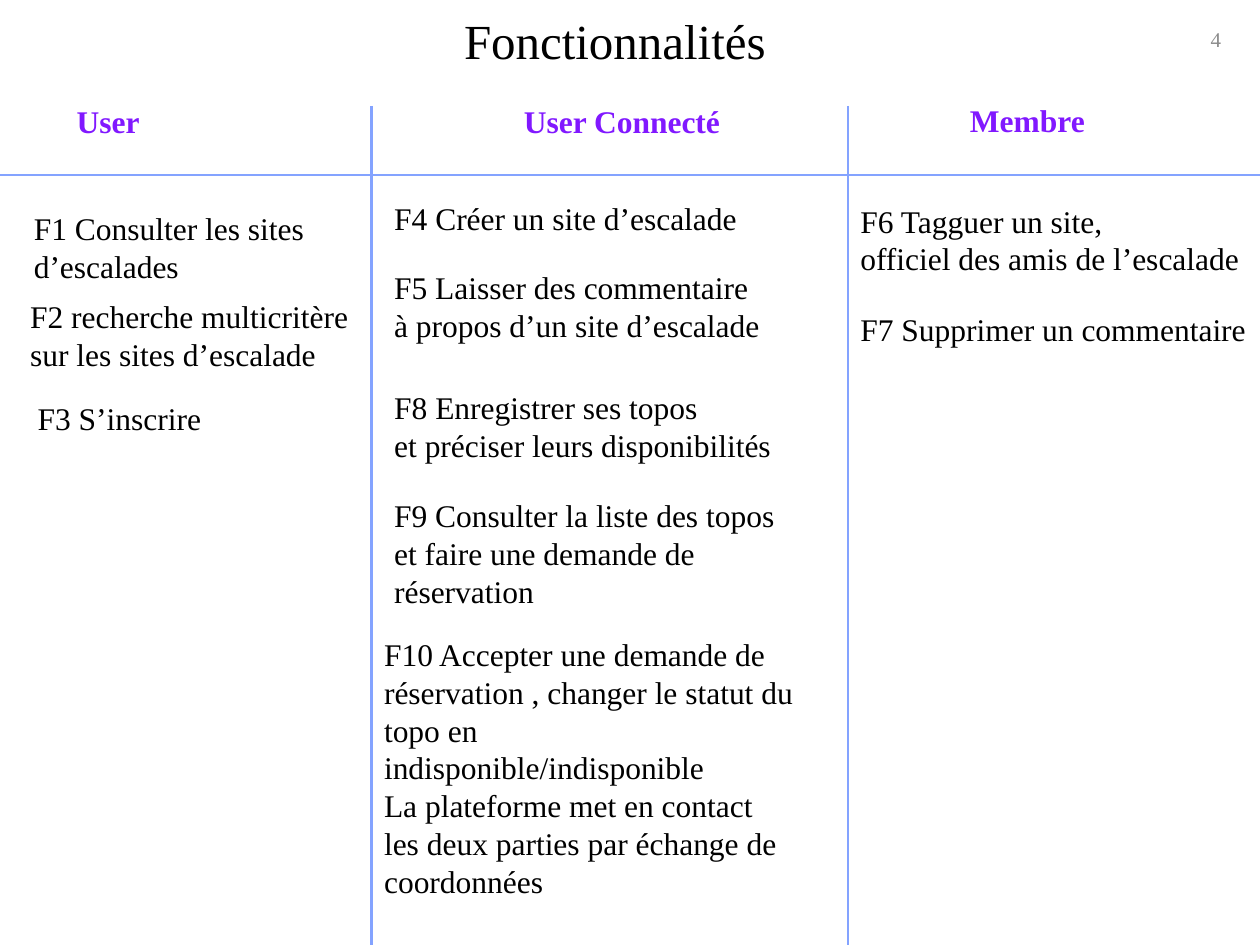
import pptx
import pptx.dml.color
import pptx.enum.shapes
import pptx.enum.text
import pptx.util
import lxml.etree

Inches = pptx.util.Inches
Pt = pptx.util.Pt
RGBColor = pptx.dml.color.RGBColor
ALIGN = pptx.enum.text.PP_ALIGN
ANCHOR = pptx.enum.text.MSO_ANCHOR

BLACK = RGBColor(0x00, 0x00, 0x00)
GREY = RGBColor(0x8C, 0x8C, 0x8C)
PURPLE = RGBColor(0x81, 0x18, 0xFF)
BLUE = RGBColor(0x84, 0xA3, 0xFF)
FONT = "Times New Roman"
DRAWING = "http://schemas.openxmlformats.org/drawingml/2006/main"

SLIDE_WIDTH, SLIDE_HEIGHT = 10, 7.5
COLUMN_TOP, HEADER_LINE = 0.75, 1.39
DIVIDER_TOP = 0.84

# Each column: left edge, header, features.
# Each part: offset from the column's corner, width, height, lines of text.
COLUMNS = [
    (0, (0.51, 0.01, 2.3, 0.4, ["User"]), [
        (0.17, 0.86, 2.43, 0.71, ["F1 Consulter les sites", "d’escalades"]),
        (0.14, 1.56, 2.82, 0.71,
         ["F2 recherche multicritère", "sur les sites d’escalade"]),
        (0.2, 2.37, 1.51, 0.4, ["F3 S’inscrire"]),
    ]),
    (2.95, (1.11, 0.01, 1.84, 0.4, ["User Connecté"]), [
        (0.08, 0.78, 2.95, 0.4, ["F4 Créer un site d’escalade"]),
        (0.08, 1.33, 3.13, 0.71,
         ["F5 Laisser des commentaire", "à propos d’un site d’escalade"]),
        (0.08, 2.28, 3.22, 0.71,
         ["F8 Enregistrer ses topos", "et préciser leurs disponibilités"]),
        (0.08, 3.14, 3.46, 1.01,
         ["F9 Consulter la liste des topos",
          "et faire une demande de réservation"]),
        (0, 4.24, 3.46, 2.22,
         ["F10 Accepter une demande de réservation , changer le statut du "
          "topo en indisponible/indisponible",
          "La plateforme met en contact les deux parties par échange de "
          "coordonnées"]),
    ]),
    (6.73, (0.87, 0, 1.14, 0.4, ["Membre"]), [
        (0, 0.8, 3.24, 0.71,
         ["F6 Tagguer un site,", "officiel des amis de l’escalade"]),
        (0, 1.66, 3.29, 0.4, ["F7 Supprimer un commentaire"]),
    ]),
]


def write_lines(box, lines, size, color, bold=False, align=ALIGN.LEFT,
                anchor=ANCHOR.TOP):
    """Fill a box with one paragraph per line."""
    frame = box.text_frame
    frame.word_wrap = True
    frame.auto_size = pptx.enum.text.MSO_AUTO_SIZE.NONE
    frame.vertical_anchor = anchor
    frame.text = "\n".join(lines)
    for para in frame.paragraphs:
        para.alignment = align
        para.font.name = FONT
        para.font.size = Pt(size)
        para.font.bold = bold
        para.font.color.rgb = color


def add_heading(page, left, top, width, height):
    """Place the slide title in the given box."""
    title = page.shapes.title
    title.left, title.top = Inches(left), Inches(top)
    title.width, title.height = Inches(width), Inches(height)
    write_lines(title, ["Fonctionnalités"], 28, BLACK, align=ALIGN.CENTER)


def add_page_number(page, left, top, width, height):
    """Place the page number, centred in the given box."""
    box = page.shapes.add_textbox(
        Inches(left), Inches(top), Inches(width), Inches(height))
    write_lines(box, ["4"], 12, GREY, align=ALIGN.CENTER, anchor=ANCHOR.MIDDLE)


def add_column(page, left, top, header, features):
    """Place a role's header and features relative to the column corner."""
    for part in [header] + features:
        across, down, width, height, lines = part
        box = page.shapes.add_textbox(Inches(left + across), Inches(top + down),
                                      Inches(width), Inches(height))
        is_header = part is header
        write_lines(box, lines, 18, PURPLE if is_header else BLACK, is_header)


def add_rule(page, start_x, start_y, end_x, end_y):
    """Draw one straight blue rule."""
    rule = page.shapes.add_connector(
        pptx.enum.shapes.MSO_CONNECTOR.STRAIGHT,
        Inches(start_x), Inches(start_y), Inches(end_x), Inches(end_y))
    rule.line.color.rgb = BLUE
    rule.line.width = Pt(1.57)
    lxml.etree.SubElement(rule._element.spPr, "{%s}effectLst" % DRAWING)


def add_grid(page, edges, top, header_line, bottom):
    """Draw the header rule over each column and the dividers between them."""
    for left, right in zip(edges, edges[1:]):
        add_rule(page, left, header_line, right, header_line)
    for divider in edges[1:-1]:
        add_rule(page, divider, top, divider, bottom)


def build_deck():
    """Build the one-page deck and save it."""
    deck = pptx.Presentation()
    deck.slide_width = Inches(SLIDE_WIDTH)
    deck.slide_height = Inches(SLIDE_HEIGHT)
    page = deck.slides.add_slide(deck.slide_layouts.get_by_name("Title Only"))
    add_page_number(page, 9.3, 0, 0.7, 0.62)
    add_heading(page, -0.12, 0.03, 10, 0.57)
    for left, header, features in COLUMNS:
        add_column(page, left, COLUMN_TOP, header, features)
    edges = [column[0] for column in COLUMNS] + [SLIDE_WIDTH]
    add_grid(page, edges, DIVIDER_TOP, HEADER_LINE, SLIDE_HEIGHT)
    deck.save("out.pptx")


build_deck()
